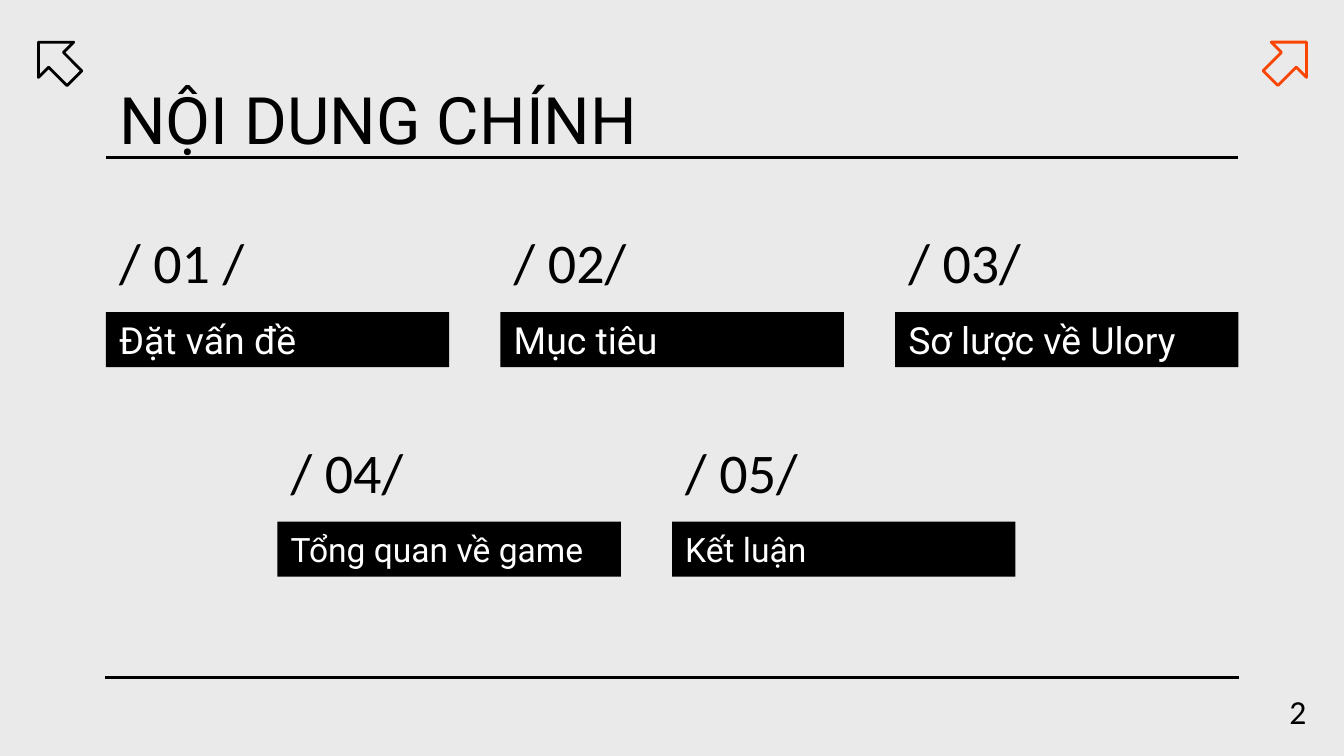
import pptx
import pptx.dml.color
import pptx.enum.shapes
import pptx.enum.text
import pptx.oxml
import pptx.util
from dataclasses import dataclass

Pt = pptx.util.Pt
RGB = pptx.dml.color.RGBColor.from_string
SHAPE = pptx.enum.shapes.MSO_SHAPE
ALIGN = pptx.enum.text.PP_ALIGN
ANCHOR = pptx.enum.text.MSO_ANCHOR


@dataclass(frozen=True)
class Theme:
    background: str = "EAEAEA"
    ink: str = "000000"
    paper: str = "FFFFFF"
    accent: str = "F94604"
    heading_font: str = "Roboto"
    number_font: str = "Calibri"
    title_size: int = 35
    number_size: int = 30
    label_size: int = 20
    small_size: int = 18
    line_width: float = 1.5
    inset: float = 7.2


def write_text(shape, text, *, font, size, color, inset,
               align=ALIGN.LEFT, anchor=ANCHOR.TOP):
    frame = shape.text_frame
    frame.word_wrap = True
    frame.vertical_anchor = anchor
    frame.margin_left = frame.margin_right = Pt(inset)
    frame.margin_top = frame.margin_bottom = Pt(inset)
    paragraph = frame.paragraphs[0]
    paragraph.alignment = align
    run = paragraph.add_run()
    run.text = text
    run.font.name = font
    run.font.size = Pt(size)
    run.font.color.rgb = RGB(color)


class SlideBuilder:
    def __init__(self, slide, theme):
        self.slide = slide
        self.theme = theme
        fill = slide.background.fill
        fill.solid()
        fill.fore_color.rgb = RGB(theme.background)

    def rule(self, left, right, y):
        line = self.slide.shapes.add_connector(
            pptx.enum.shapes.MSO_CONNECTOR.STRAIGHT,
            Pt(left), Pt(y), Pt(right), Pt(y))
        line.line.color.rgb = RGB(self.theme.ink)
        line.line.width = Pt(self.theme.line_width)
        pptx.oxml.xmlchemy.OxmlElement  # connector shadow is cleared below
        line._element.spPr.append(
            pptx.oxml.xmlchemy.OxmlElement("a:effectLst"))

    def arrow(self, left, top, rotation, color):
        arrow = self.slide.shapes.add_shape(
            SHAPE.RIGHT_ARROW, Pt(left), Pt(top), Pt(27.3), Pt(26.7))
        arrow.adjustments[0] = 0.42
        arrow.adjustments[1] = 0.5
        arrow.rotation = rotation
        arrow.shadow.inherit = False
        arrow.fill.background()
        arrow.line.color.rgb = RGB(color)
        arrow.line.width = Pt(self.theme.line_width)

    def text(self, text, left, top, width, height, **style):
        box = self.slide.shapes.add_textbox(
            Pt(left), Pt(top), Pt(width), Pt(height))
        write_text(box, text, color=self.theme.ink,
                   inset=self.theme.inset, **style)

    def label(self, text, left, top, width, height, size):
        bar = self.slide.shapes.add_shape(
            SHAPE.RECTANGLE, Pt(left), Pt(top), Pt(width), Pt(height))
        bar.shadow.inherit = False
        bar.fill.solid()
        bar.fill.fore_color.rgb = RGB(self.theme.ink)
        bar.line.fill.background()
        write_text(bar, text, font=self.theme.heading_font, size=size,
                   color=self.theme.paper, inset=self.theme.inset,
                   anchor=ANCHOR.MIDDLE)


def main():
    theme = Theme()
    deck = pptx.Presentation()
    deck.slide_width, deck.slide_height = Pt(720), Pt(405)
    builder = SlideBuilder(deck.slides.add_slide(deck.slide_layouts[6]), theme)

    # Frame: corner arrows, footer rule and page number
    margin = 56.7
    builder.rule(margin - 0.4, 720 - margin + 0.4, 362.9)
    builder.arrow(16.6, 18.9, 225, theme.ink)
    builder.arrow(676.6, 18.9, 315, theme.accent)
    builder.text("2", 663.8, 363, 43.2, 31, font=theme.number_font,
                 size=theme.small_size, align=ALIGN.RIGHT)

    # Title
    builder.text("NỘI DUNG CHÍNH", margin, 35.3, 606.6, 45.4,
                 font=theme.heading_font, size=theme.title_size)
    builder.rule(margin, 720 - margin, 84.2)

    # Contents: a row of three above a row of two
    item_width, column_step = 184, 211.4
    first_row, row_step, label_drop = 121.7, 112.3, 45.5
    rows = [
        (margin, theme.label_size,
         [("/ 01 /", "Đặt vấn đề"), ("/ 02/", "Mục tiêu"),
          ("/ 03/", "Sơ lược về Ulory")]),
        (148.6, theme.small_size,
         [("/ 04/", "Tổng quan về game"), ("/ 05/", "Kết luận")]),
    ]
    for row, (row_left, label_size, items) in enumerate(rows):
        top = first_row + row * row_step
        for column, (number, label) in enumerate(items):
            left = row_left + column * column_step
            builder.text(number, left, top, item_width, 36.7,
                         font=theme.number_font, size=theme.number_size,
                         anchor=ANCHOR.MIDDLE)
            builder.label(label, left, top + label_drop, item_width, 29.5,
                          label_size)

    deck.save("out.pptx")


if __name__ == "__main__":
    main()
